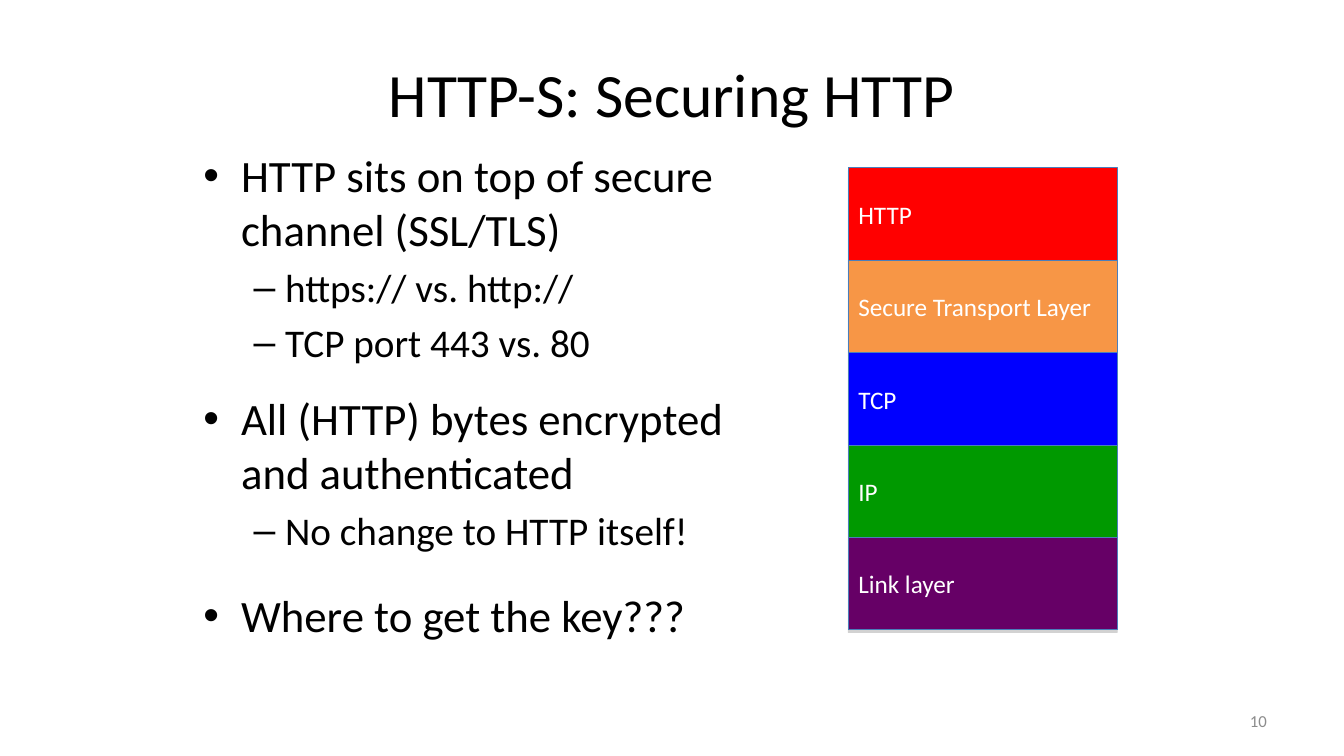
from dataclasses import dataclass

from lxml import etree
from pptx import Presentation
from pptx.dml.color import RGBColor
from pptx.enum.shapes import MSO_SHAPE
from pptx.enum.text import MSO_ANCHOR, MSO_AUTO_SIZE, PP_ALIGN
from pptx.oxml.ns import qn
from pptx.util import Inches, Pt

RECT = MSO_SHAPE.RECTANGLE
MIDDLE, TOP = MSO_ANCHOR.MIDDLE, MSO_ANCHOR.TOP
LEFT, CENTER, RIGHT = PP_ALIGN.LEFT, PP_ALIGN.CENTER, PP_ALIGN.RIGHT
NO_FIT = MSO_AUTO_SIZE.NONE

# The slide is a grid of 160 columns by 90 rows, twelve to the inch
COLUMNS, ROWS = 160, 90
UNIT = Inches(1) / 12


@dataclass(frozen=True)
class Theme:
    font: str = "Calibri"
    text: str = "000000"
    on_layer: str = "FFFFFF"
    muted: str = "8C8C8C"
    outline: str = "4A7EBB"
    shadow: str = "808080"
    title_size: int = 44
    list_sizes: tuple = (32, 28)
    layer_size: int = 18
    number_size: int = 12


THEME = Theme()

# (level, text, points of space after)
POINTS = [
    (0, "HTTP sits on top of secure channel (SSL/TLS)", None),
    (1, "https:// vs. http://", None),
    (1, "TCP port 443 vs. 80", 12),
    (0, "All (HTTP) bytes encrypted and authenticated", None),
    (1, "No change to HTTP itself!", 18),
    (0, "Where to get the key???", None),
]

# Protocol stack, from the top layer down
LAYERS = [
    ("HTTP", "FF0000"),
    ("Secure Transport Layer", "F79646"),
    ("TCP", "0000FF"),
    ("IP", "009900"),
    ("Link layer", "660066"),
]


def grid(*cells):
    return [round(c * UNIT) for c in cells]


def place(sp, *cells):
    sp.left, sp.top, sp.width, sp.height = grid(*cells)


def write(p, text, *, size, color=THEME.text, align=LEFT, level=0, after=None):
    p.alignment, p.level = align, level
    if after is not None:
        p.space_after = Pt(after)
    r = p.add_run()
    r.text = text
    r.font.name, r.font.size = THEME.font, Pt(size)
    r.font.color.rgb = RGBColor.from_string(color)


def set_frame(sp, anchor):
    tf = sp.text_frame
    tf.word_wrap, tf.auto_size, tf.vertical_anchor = True, NO_FIT, anchor
    return tf


def add_title(s, text):
    sp = s.shapes.title
    place(sp, 8, 3.6, COLUMNS - 16, 15)
    tf = set_frame(sp, MIDDLE)
    write(tf.paragraphs[0], text, size=THEME.title_size, align=CENTER)


def add_points(s, points):
    sp = s.placeholders[1]
    place(sp, 23, 17, 71, 70)
    tf = set_frame(sp, TOP)
    for i, (level, text, after) in enumerate(points):
        p = tf.add_paragraph() if i else tf.paragraphs[0]
        write(p, text, size=THEME.list_sizes[level], level=level, after=after)


def add_drop_shadow(sp):
    sp.shadow.inherit = False
    effects = sp.element.spPr.find(qn("a:effectLst"))
    shadow = etree.SubElement(effects, qn("a:outerShdw"), blurRad="0",
                              dist=str(Pt(1.8)), dir="5400000", rotWithShape="0")
    color = etree.SubElement(shadow, qn("a:srgbClr"), val=THEME.shadow)
    etree.SubElement(color, qn("a:alpha"), val="35000")


def add_layer(s, index, text, fill):
    height = 11
    sp = s.shapes.add_shape(RECT, *grid(101, 20 + index * height, 32, height))
    sp.fill.solid()
    sp.fill.fore_color.rgb = RGBColor.from_string(fill)
    sp.line.color.rgb = RGBColor.from_string(THEME.outline)
    sp.line.width = Pt(0.75)
    add_drop_shadow(sp)
    tf = set_frame(sp, MIDDLE)
    write(tf.paragraphs[0], text, size=THEME.layer_size, color=THEME.on_layer)


def add_slide_number(s, text):
    sp = s.shapes.add_textbox(*grid(114.7, 83.4, 37.3, 4.8))
    tf = set_frame(sp, MIDDLE)
    write(tf.paragraphs[0], text, size=THEME.number_size,
          color=THEME.muted, align=RIGHT)


def main():
    prs = Presentation()
    prs.slide_width, prs.slide_height = grid(COLUMNS, ROWS)
    s = prs.slides.add_slide(prs.slide_layouts[1])

    # Title and list
    add_title(s, "HTTP-S: Securing HTTP")
    add_points(s, POINTS)
    add_slide_number(s, "10")

    # Protocol stack
    for i, (text, fill) in enumerate(LAYERS):
        add_layer(s, i, text, fill)

    prs.save("out.pptx")


if __name__ == "__main__":
    main()
